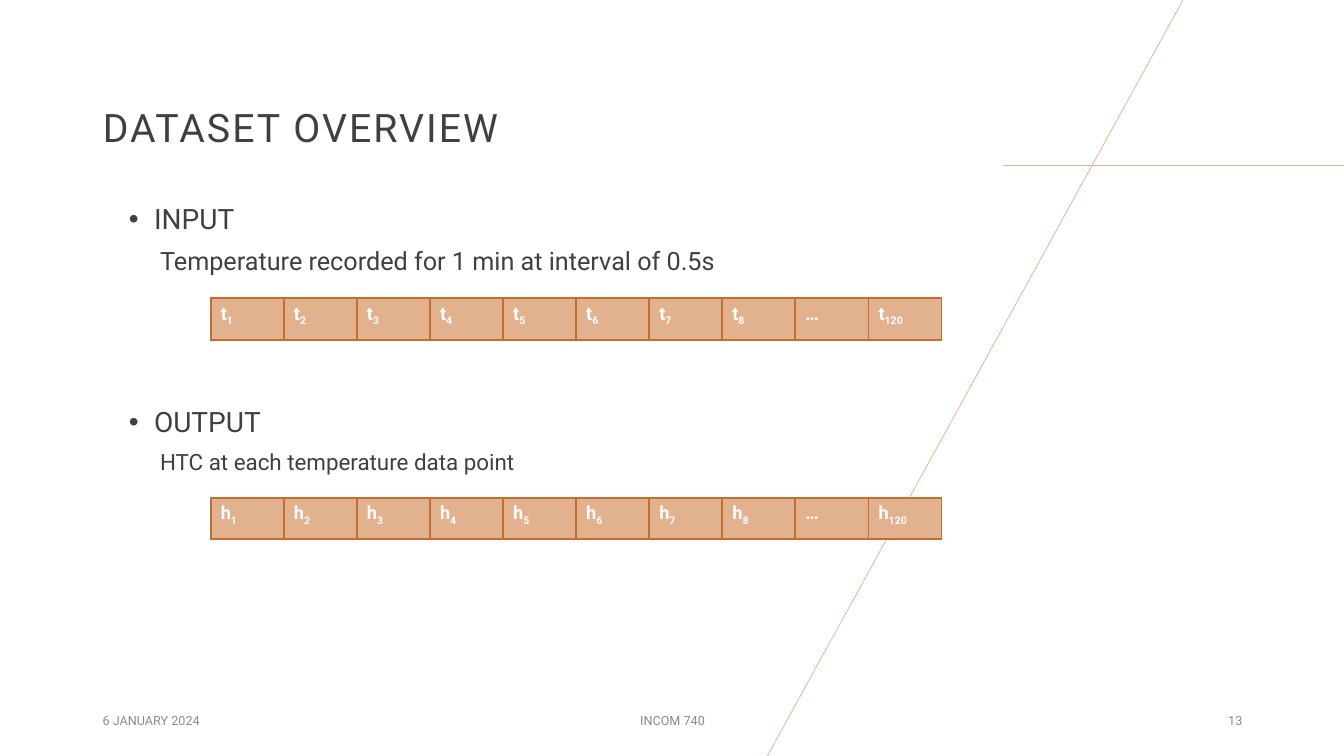
from lxml.etree import SubElement
from pptx import Presentation
from pptx.dml.color import RGBColor
from pptx.enum.shapes import MSO_CONNECTOR
from pptx.enum.text import MSO_ANCHOR, MSO_AUTO_SIZE, PP_ALIGN
from pptx.oxml import parse_xml
from pptx.oxml.ns import nsdecls, qn
from pptx.util import Inches, Pt

INK, MUTED, SAND, RUST = "404040", "8C8C8C", "E2B18D", "C46E31"


def color(hex_code):
    return RGBColor.from_string(hex_code)


def add_run(paragraph, text, size, hex_code, bold=False):
    run = paragraph.add_run()
    run.text = text
    run.font.name = "Roboto"
    run.font.size = Pt(size)
    run.font.bold = bold
    run.font.color.rgb = color(hex_code)
    return run


prs = Presentation()
prs.slide_width = Inches(13.33)
prs.slide_height = Inches(7.5)
slide = prs.slides.add_slide(prs.slide_layouts[5])

for x1, y1, x2, y2 in [(9.95, 1.64, 13.33, 1.64), (11.75, -0.03, 7.6, 7.52)]:
    accent = slide.shapes.add_connector(
        MSO_CONNECTOR.STRAIGHT, Inches(x1), Inches(y1), Inches(x2), Inches(y2))
    accent.line.color.rgb = color(SAND)
    accent.line.width = Pt(0.5)
    SubElement(accent._element.spPr, qn("a:effectLst"))

title = slide.shapes.title
title.left, title.top = Inches(0.92), Inches(0.82)
title.width, title.height = Inches(5.59), Inches(0.73)
title.text_frame.auto_size = MSO_AUTO_SIZE.NONE
title.text_frame.vertical_anchor = MSO_ANCHOR.BOTTOM
heading = title.text_frame.paragraphs[0]
heading.alignment = PP_ALIGN.LEFT
heading.line_spacing = 0.9
heading_run = add_run(heading, "DATASET OVERVIEW", 28, INK)
heading_run._r.get_or_add_rPr().set("spc", "150")

sections = [
    ("INPUT", "Temperature recorded for 1 min at interval of 0.5s", 18, "t", 1.99, 2.96),
    ("OUTPUT", "HTC at each temperature data point", 16, "h", 4, 4.94),
]
steps = ["1", "2", "3", "4", "5", "6", "7", "8", "…", "120"]

for label, description, description_size, symbol, top, series_top in sections:
    for text, size, left, y, height, bulleted in [
        (label, 20, 1.18, top, 0.4, True),
        (description, description_size, 1.49, top + 0.43, 0.61, False),
    ]:
        box = slide.shapes.add_textbox(
            Inches(left), Inches(y), Inches(5.94), Inches(height))
        box.text_frame.word_wrap = True
        line = box.text_frame.paragraphs[0]
        line.line_spacing = 0.9
        line.space_before = Pt(10)
        add_run(line, text, size, INK)
        if bulleted:
            properties = line._p.get_or_add_pPr()
            properties.set("marL", str(Inches(0.25)))
            properties.set("indent", str(-Inches(0.25)))
            SubElement(properties, qn("a:buFont"), typeface="Arial")
            SubElement(properties, qn("a:buChar"), char="•")

    series = slide.shapes.add_table(
        1, len(steps), Inches(2.09), Inches(series_top), Inches(7.25), Inches(0.41)).table
    for cell, step in zip(series.rows[0].cells, steps):
        cell.fill.solid()
        cell.fill.fore_color.rgb = color(SAND)
        entry = cell.text_frame.paragraphs[0]
        if step == "…":
            add_run(entry, step, 13, "FFFFFF", True)
        else:
            add_run(entry, symbol, 13, "FFFFFF", True)
            subscript = add_run(entry, step, 13, "FFFFFF", True)
            subscript._r.get_or_add_rPr().set("baseline", "-25000")
        for index, side in enumerate(["lnL", "lnR", "lnT", "lnB"]):
            border = parse_xml(
                f'<a:{side} {nsdecls("a")} w="{Pt(1.5)}"><a:solidFill>'
                f'<a:srgbClr val="{RUST}"/></a:solidFill></a:{side}>')
            cell._tc.get_or_add_tcPr().insert(index, border)

for text, left, width, alignment in [
    ("6 JANUARY 2024", 0.92, 3, PP_ALIGN.LEFT),
    ("INCOM 740", 4.42, 4.5, PP_ALIGN.CENTER),
    ("13", 9.42, 3, PP_ALIGN.RIGHT),
]:
    footer = slide.shapes.add_textbox(
        Inches(left), Inches(6.95), Inches(width), Inches(0.4))
    footer.text_frame.word_wrap = True
    footer.text_frame.vertical_anchor = MSO_ANCHOR.MIDDLE
    footer_line = footer.text_frame.paragraphs[0]
    footer_line.alignment = alignment
    add_run(footer_line, text, 9, MUTED)

prs.save("out.pptx")
